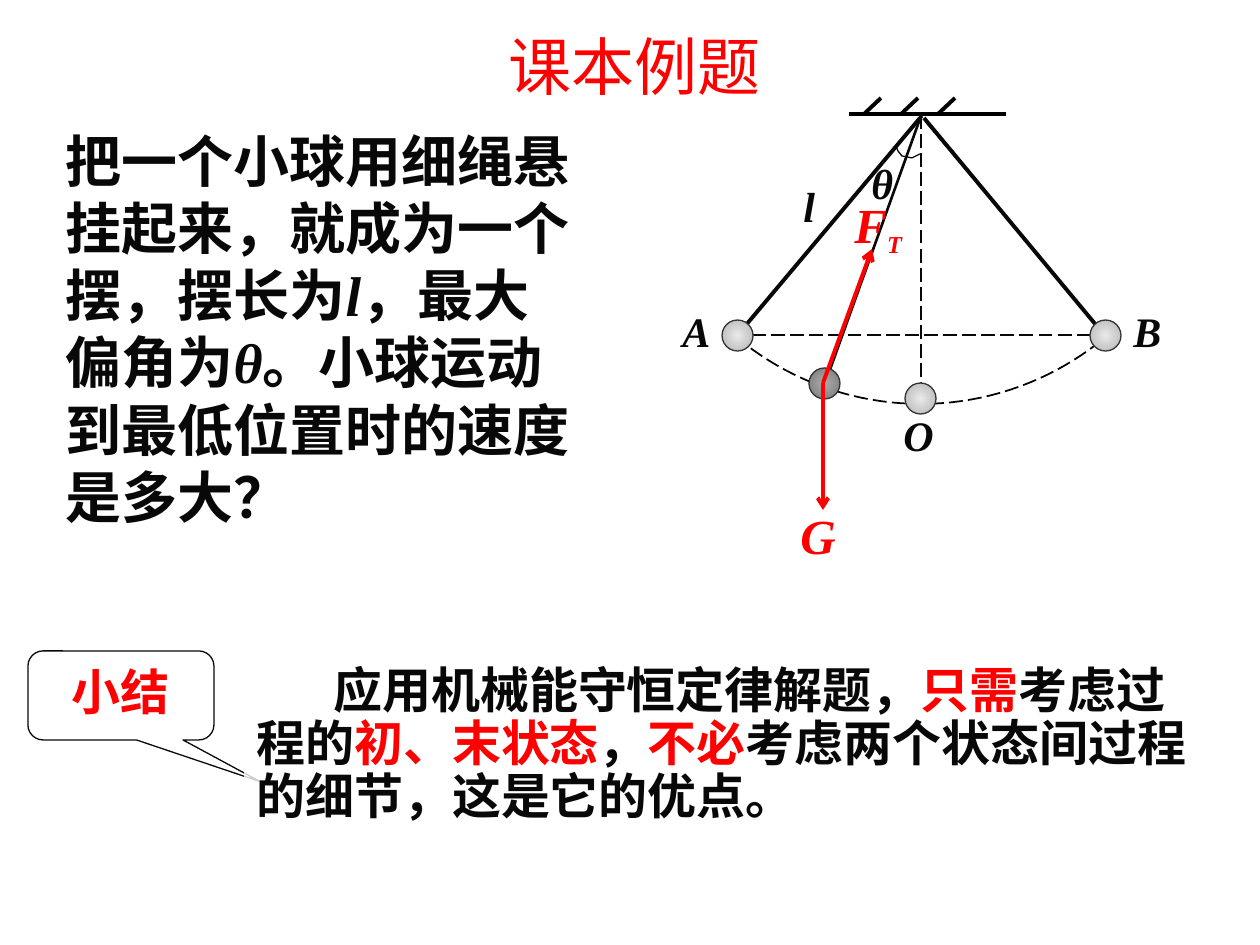
"""Build the pendulum example slide with its force diagram and summary."""
from math import cos, radians, sin

from pptx import Presentation
from pptx.dml.color import RGBColor
from pptx.enum.dml import MSO_LINE_DASH_STYLE as DASH
from pptx.enum.shapes import MSO_CONNECTOR as CONNECTOR, MSO_SHAPE as SHAPE
from pptx.enum.text import MSO_ANCHOR as ANCHOR, PP_ALIGN as ALIGN
from pptx.oxml import parse_xml
from pptx.oxml.ns import nsdecls, qn
from pptx.oxml.xmlchemy import OxmlElement
from pptx.util import Pt

PX = 914400 / 126
COLORS = {name: RGBColor.from_string(value) for name, value in {
    "red": "FF0000", "ink": "080808", "black": "000000", "white": "FFFFFF",
    "rim": "333333", "light": "EAEAEA", "silver": "B2B2B2",
    "gray": "ACACAC", "dark": "777777"}.items()}
SERIF = "Times New Roman"

deck = Presentation()
deck.slide_width, deck.slide_height = int(1260 * PX), int(945 * PX)
shapes = deck.slides.add_slide(deck.slide_layouts[6]).shapes


def write(shape, runs, size, font=SERIF, bold=True, align=ALIGN.LEFT):
    frame = shape.text_frame
    frame.word_wrap = True
    frame.vertical_anchor = ANCHOR.TOP
    paragraph = frame.paragraphs[0]
    paragraph.alignment = align
    paragraph.font.size, paragraph.font.name = Pt(size), font
    paragraph.font.bold = bold
    for words, color, italic in runs:
        run = paragraph.add_run()
        run.text = words
        run.font.color.rgb = COLORS[color]
        run.font.italic = italic
    return paragraph


def draw_line(start, end, color, width, dash=None, arrow=False):
    line = shapes.add_connector(
        CONNECTOR.STRAIGHT, *(int(v * PX) for v in (*start, *end)))
    line.line.color.rgb, line.line.width = COLORS[color], Pt(width)
    line.line.dash_style = dash
    if arrow:
        line.line._get_or_add_ln().append(
            parse_xml(f'<a:tailEnd {nsdecls("a")} type="arrow"/>'))
    line._element.spPr.append(OxmlElement("a:effectLst"))


callout = shapes.add_shape(
    SHAPE.ROUNDED_RECTANGULAR_CALLOUT, *(int(v * PX) for v in (28, 651, 186, 89)))
for index, value in enumerate((0.75, 0.97, 0.17)):
    callout.adjustments[index] = value
callout.shadow.inherit = False
callout.fill.background()
callout.line.color.rgb, callout.line.width = COLORS["ink"], Pt(0.75)
write(callout, [("小结", "red", False)], 28, align=ALIGN.CENTER)

panels = []
for box in ((630, 86, 547, 488), (53, 120, 542, 416), (244, 660, 974, 171)):
    panel = shapes.add_shape(SHAPE.RECTANGLE, *(int(v * PX) for v in box))
    panel.shadow.inherit = False
    panel.fill.solid()
    panel.fill.fore_color.rgb = COLORS["white"]
    panel.fill._xPr.find(qn("a:solidFill"))[0].append(
        parse_xml(f'<a:alpha {nsdecls("a")} val="80000"/>'))
    panel.line.fill.background()
    panels.append(panel)
diagram, question, summary = panels

write(question, [
    ("把一个小球用细绳悬挂起来，就成为一个摆，摆长为", "ink", False),
    ("l", "ink", True),
    ("，最大偏角为", "ink", False),
    ("θ", "ink", True),
    ("。小球运动到最低位置时的速度是多大？", "ink", False)], 32)

advice = write(summary, [
    ("应用机械能守恒定律解题，", "ink", False),
    ("只需", "red", False),
    ("考虑过程的", "ink", False),
    ("初、末状态", "red", False),
    ("，", "ink", False),
    ("不必", "red", False),
    ("考虑两个状态间过程的细节，这是它的优点。", "ink", False)], 28)
advice.line_spacing = 0.9
advice._p.get_or_add_pPr().set("indent", str(int(77 * PX)))

title = shapes.add_textbox(*(int(v * PX) for v in (378, 21, 514, 105)))
write(title, [("课本例题", "red", False)], 36, "Arial", False, ALIGN.CENTER)

pivot, radius = (921, 116), 288
swing = [(pivot[0] + radius * cos(radians(a)), pivot[1] + radius * sin(radians(a)))
         for a in range(130, 49, -2)]
angle_mark = [(896, 146), (898, 151), (902, 156), (907, 157),
              (912, 158), (916, 156), (920, 154)]
for points, closed, color, width, dash in (
        (swing + [pivot], True, "black", 1, DASH.LONG_DASH),
        (angle_mark, False, "ink", 0.75, None)):
    builder = shapes.build_freeform(
        int(points[0][0] * PX), int(points[0][1] * PX))
    builder.add_line_segments(
        [(int(x * PX), int(y * PX)) for x, y in points[1:]], close=closed)
    curve = builder.convert_to_shape()
    curve.shadow.inherit = False
    curve.fill.background()
    curve.line.color.rgb, curve.line.width = COLORS[color], Pt(width)
    curve.line.dash_style = dash

draw_line((733, 335), (1111, 335), "ink", 1, DASH.LONG_DASH)
draw_line((921, 115), (921, 393), "ink", 1, DASH.LONG_DASH)
draw_line((849, 114), (1006, 114), "black", 2.25)
for x in range(864, 975, 37):
    draw_line((x, 114), (x + 17, 98), "black", 2.25)
draw_line((924, 118), (1101, 331), "ink", 2.25)
draw_line((920, 118), (741, 331), "ink", 2.25)
draw_line((921, 116), (827, 378), "ink", 1.5)

for x, y, inner, outer in ((920, 398, "light", "silver"),
                           (1105, 335, "light", "silver"),
                           (737, 335, "light", "silver"),
                           (824, 383, "gray", "dark")):
    ball = shapes.add_shape(
        SHAPE.OVAL, *(int(v * PX) for v in (x - 15, y - 15, 31, 31)))
    ball.shadow.inherit = False
    ball.line.color.rgb, ball.line.width = COLORS["rim"], Pt(0.75)
    ball.fill.gradient()
    for stop, position, color in zip(ball.fill.gradient_stops, (0, 1), (inner, outer)):
        stop.position, stop.color.rgb = position, COLORS[color]
    gradient = ball._element.spPr.find(qn("a:gradFill"))
    gradient.replace(gradient.find(qn("a:lin")), parse_xml(
        f'<a:path {nsdecls("a")} path="circle">'
        '<a:fillToRect l="50000" t="50000" r="50000" b="50000"/></a:path>'))

for letter, x, y, width, height, size, color in (
        ("O", 891, 403, 63, 63, 24, "ink"),
        ("B", 1121, 299, 63, 63, 24, "ink"),
        ("A", 670, 299, 63, 63, 24, "ink"),
        ("θ", 859, 151, 63, 63, 24, "ink"),
        ("l", 791, 174, 63, 63, 24, "ink"),
        ("G", 788, 499, 84, 72, 28, "red"),
        ("F", 842, 188, 95, 72, 28, "red")):
    label = shapes.add_textbox(*(int(v * PX) for v in (x, y, width, height)))
    tension = write(label, [(letter, color, True)], size)

subscript = tension.add_run()
subscript.text = "T"
subscript.font.size, subscript.font.italic = Pt(24), True
subscript.font.color.rgb = COLORS["red"]
subscript._r.get_or_add_rPr().set("baseline", "-25000")

draw_line((823, 383), (823, 510), "red", 2.25, arrow=True)
draw_line((823, 383), (872, 249), "red", 2.25, arrow=True)

deck.save("out.pptx")
